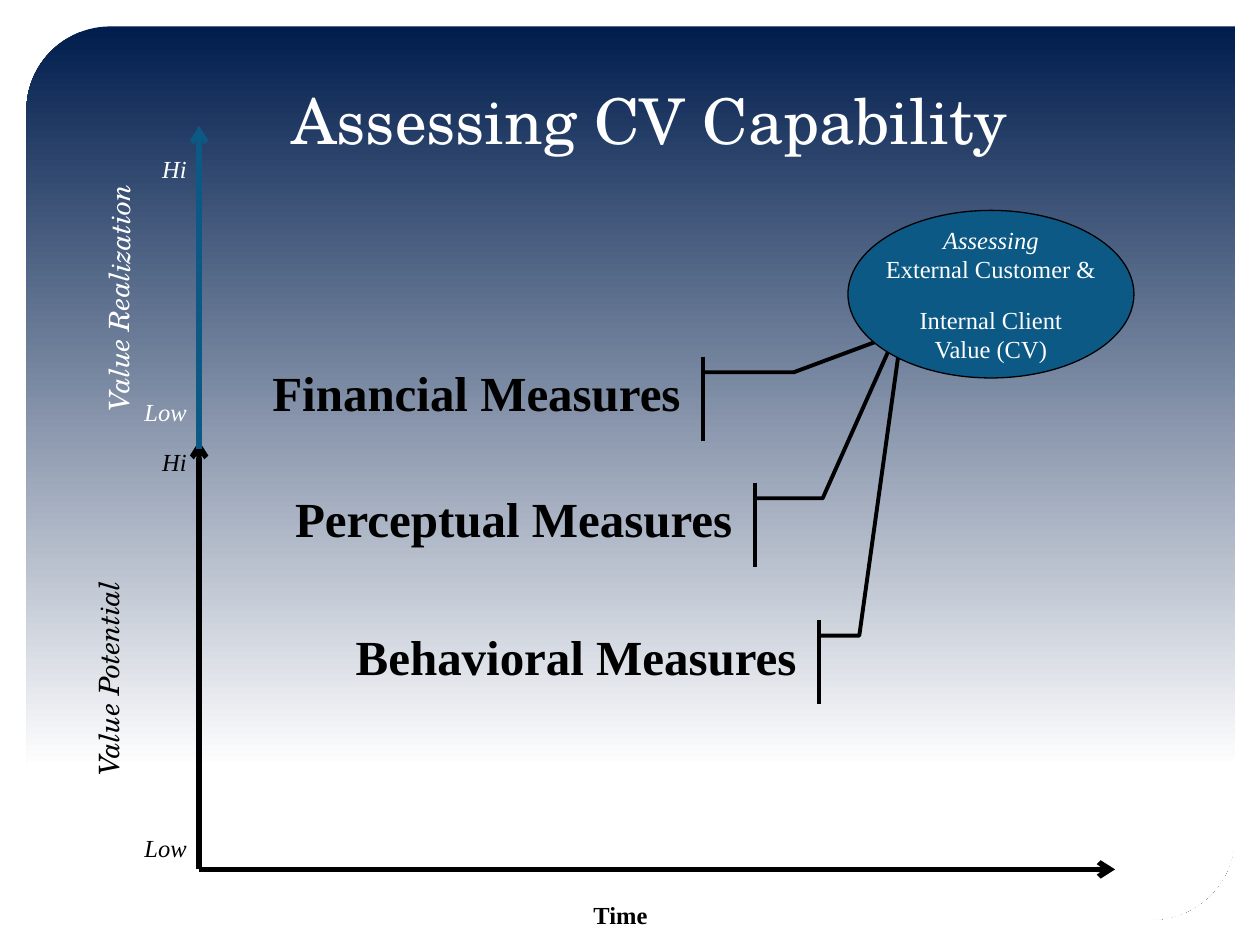
from dataclasses import dataclass

from lxml.etree import SubElement
from pptx import Presentation
from pptx.dml.color import RGBColor
from pptx.enum.shapes import MSO_CONNECTOR, MSO_SHAPE
from pptx.enum.text import MSO_ANCHOR, MSO_AUTO_SIZE, PP_ALIGN
from pptx.oxml.ns import qn
from pptx.util import Inches, Pt


@dataclass(frozen=True)
class Theme:
    navy: RGBColor = RGBColor(0x00, 0x1D, 0x4D)
    blue: RGBColor = RGBColor(0x0C, 0x59, 0x86)
    black: RGBColor = RGBColor(0, 0, 0)
    white: RGBColor = RGBColor(255, 255, 255)
    heading_font: str = "TeX Gyre Schola"
    body_font: str = "Times New Roman"
    title_size: int = 36
    measure_size: int = 28
    axis_size: int = 16
    label_size: int = 14


THEME = Theme()


def add_run(paragraph, text, size, color, font=THEME.body_font, bold=False, italic=False):
    run = paragraph.add_run()
    run.text = text
    run.font.name = font
    run.font.size = Pt(size)
    run.font.color.rgb = color
    run.font.bold = bold
    run.font.italic = italic


def add_label(slide, box, text, size, color, align=PP_ALIGN.LEFT, wrap=True, rotation=0, **style):
    label = slide.shapes.add_textbox(*map(Inches, box))
    label.rotation = rotation
    frame = label.text_frame
    frame.word_wrap = wrap
    frame.auto_size = MSO_AUTO_SIZE.SHAPE_TO_FIT_TEXT
    frame.paragraphs[0].alignment = align
    add_run(frame.paragraphs[0], text, size, color, **style)


def add_arrow(slide, start, end, color):
    arrow = slide.shapes.add_connector(MSO_CONNECTOR.STRAIGHT, *map(Inches, (*start, *end)))
    arrow.line.color.rgb = color
    arrow.line.width = Pt(3)
    SubElement(arrow.line._get_or_add_ln(), qn("a:tailEnd"), type="arrow")
    SubElement(arrow._element.spPr, qn("a:effectLst"))


def add_panel(slide, box):
    """Gradient backdrop, placed behind everything else."""
    panel = slide.shapes.add_shape(MSO_SHAPE.ROUND_2_DIAG_RECTANGLE, *map(Inches, box))
    panel.adjustments[0] = 0.094
    panel.adjustments[1] = 0
    panel.shadow.inherit = False
    panel.line.fill.background()
    panel.fill.gradient()
    panel.fill.gradient_angle = 270
    stops = zip(panel.fill.gradient_stops, ((0, THEME.navy), (0.83, THEME.white)))
    for stop, (position, color) in stops:
        stop.position = position
        stop.color.rgb = color
    slide.shapes._spTree.insert(2, panel._element)


def place_title(slide, box, text):
    title = slide.shapes.title
    title.left, title.top, title.width, title.height = map(Inches, box)
    frame = title.text_frame
    frame.auto_size = MSO_AUTO_SIZE.NONE
    frame.vertical_anchor = MSO_ANCHOR.MIDDLE
    frame.paragraphs[0].alignment = PP_ALIGN.CENTER
    add_run(frame.paragraphs[0], text, THEME.title_size, THEME.white, THEME.heading_font)


def add_measure(slide, box, text, elbow_x, tip):
    """Callout with its bar just right of the box and a bent line to the tip."""
    left, top, width, height = box
    callout = slide.shapes.add_shape(MSO_SHAPE.LINE_CALLOUT_2_ACCENT_BAR, *map(Inches, box))
    shoulder_y = top + 0.125
    points = ((left + width + 0.08, shoulder_y), (elbow_x, shoulder_y), tip)
    for index, (x, y) in enumerate(points):
        callout.adjustments[2 * index] = (y - top) / height
        callout.adjustments[2 * index + 1] = (x - left) / width
    callout.shadow.inherit = False
    callout.fill.background()
    callout.line.color.rgb = THEME.black
    callout.line.width = Pt(2.25)
    frame = callout.text_frame
    frame.word_wrap = True
    frame.vertical_anchor = MSO_ANCHOR.TOP
    frame.paragraphs[0].alignment = PP_ALIGN.RIGHT
    add_run(frame.paragraphs[0], text, THEME.measure_size, THEME.black, bold=True)


def add_axes(slide, box):
    """Time axis along the bottom, with two stacked value axes on the left."""
    left, top, width, height = box
    bottom, middle = top + height, top + 2.5
    add_arrow(slide, (left, bottom), (left + width, bottom), THEME.black)
    add_arrow(slide, (left, bottom), (left, middle), THEME.black)
    add_arrow(slide, (left, middle + 0.06), (left, top), THEME.blue)
    add_label(slide, (4.61, bottom + 0.19, 0.63, 0.33), "Time", THEME.label_size,
              THEME.black, PP_ALIGN.CENTER, wrap=False, bold=True)
    ticks = (
        ("Hi", top + 0.17, THEME.white),
        ("Low", middle - 0.4, THEME.white),
        ("Hi", middle, THEME.black),
        ("Low", bottom - 0.34, THEME.black),
    )
    for text, y, color in ticks:
        add_label(slide, (left - 0.75, y, 0.75, 0.33), text, THEME.label_size,
                  color, PP_ALIGN.RIGHT, italic=True)
    names = (
        ("Value Potential", (-0.2, 4.95, 2.18, 0.43), 270, THEME.black),
        ("Value Realization", (-0.08, 2.15, 2.05, 0.37), 270.4, THEME.white),
    )
    for text, name_box, rotation, color in names:
        add_label(slide, name_box, text, THEME.axis_size, color, rotation=rotation,
                  font=THEME.heading_font, italic=True)


def add_value_oval(slide, box):
    oval = slide.shapes.add_shape(MSO_SHAPE.OVAL, *map(Inches, box))
    oval.shadow.inherit = False
    oval.fill.solid()
    oval.fill.fore_color.rgb = THEME.blue
    oval.line.color.rgb = THEME.black
    oval.line.width = Pt(0.75)
    frame = oval.text_frame
    frame.word_wrap = False
    frame.vertical_anchor = MSO_ANCHOR.MIDDLE
    lines = (
        ("Assessing", True, 0),
        ("External Customer &", False, 0),
        ("Internal Client", False, 12),
        ("Value (CV)", False, 0),
    )
    for index, (text, italic, gap) in enumerate(lines):
        paragraph = frame.add_paragraph() if index else frame.paragraphs[0]
        paragraph.alignment = PP_ALIGN.CENTER
        if gap:
            paragraph.space_before = Pt(gap)
        add_run(paragraph, text, THEME.label_size, THEME.white, italic=italic)


def main():
    prs = Presentation()
    prs.slide_width, prs.slide_height = Inches(10), Inches(7.5)
    slide = prs.slides.add_slide(prs.slide_layouts[5])
    add_panel(slide, (0.21, 0.21, 9.59, 7.09))
    place_title(slide, (1.4, 0.57, 7.51, 0.76), "Assessing CV Capability")
    measures = (
        ("Behavioral Measures", (2.42, 4.92, 4, 0.67), 6.82, (7.14, 2.75)),
        ("Perceptual Measures", (2.08, 3.83, 3.83, 0.67), 6.53, (7.09, 2.7)),
        ("Financial Measures", (1.92, 2.83, 3.58, 0.67), 6.3, (7.04, 2.68)),
    )
    for text, box, elbow_x, tip in measures:
        add_measure(slide, box, text, elbow_x, tip)
    add_axes(slide, (1.58, 1, 7.27, 5.9))
    add_value_oval(slide, (6.73, 1.67, 2.27, 1.33))
    prs.save("out.pptx")


if __name__ == "__main__":
    main()
